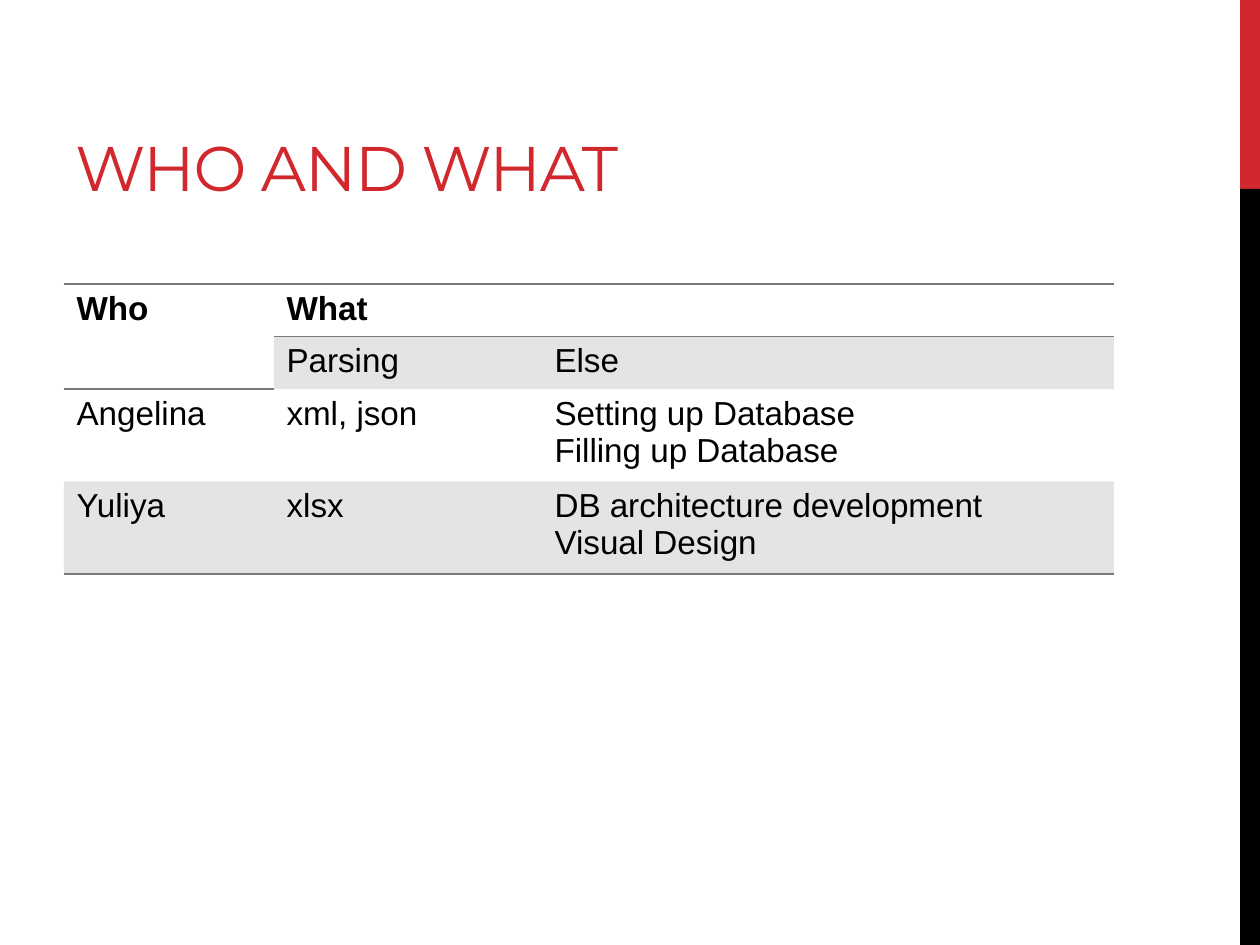
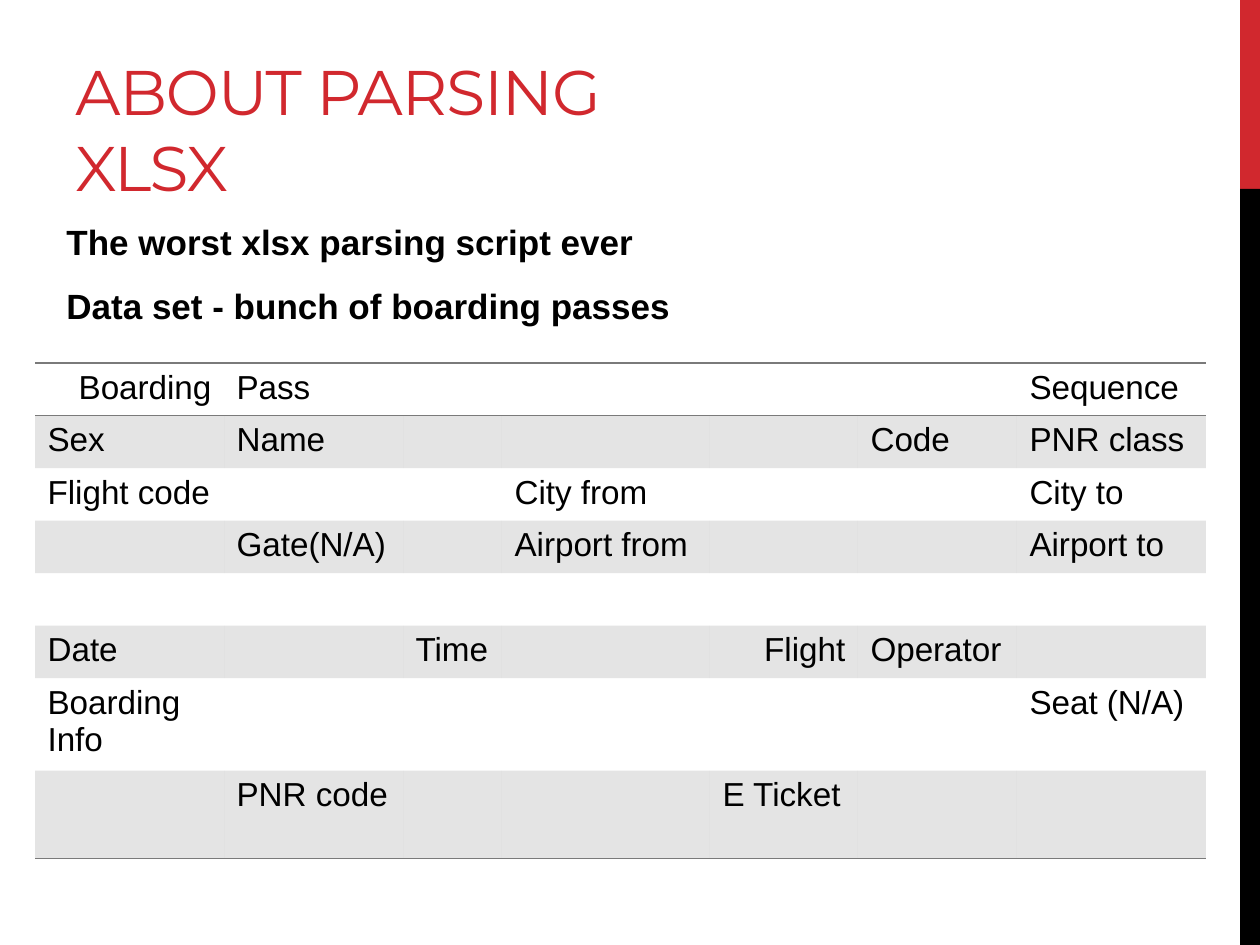
from dataclasses import dataclass

from lxml.etree import SubElement
from pptx import Presentation
from pptx.dml.color import RGBColor
from pptx.enum.shapes import MSO_SHAPE
from pptx.enum.text import MSO_ANCHOR, PP_ALIGN
from pptx.oxml import parse_xml
from pptx.oxml.ns import nsdecls, qn
from pptx.slide import Slide
from pptx.table import _Cell
from pptx.text.text import Font
from pptx.util import Emu, Pt

PX_PER_INCH = 126
COLORS = {"accent": "D1282E", "ink": "000000", "rule": "7A7A7A"}
TITLE_FONT = "Montserrat"
BODY_FONT = "Arial"
PLAIN_TABLE_STYLE = "{2D5ABB26-0587-4C30-8999-92F81FD0307C}"


@dataclass(frozen=True)
class Box:
    left: int
    top: int
    width: int
    height: int

    def emu(self) -> tuple[Emu, ...]:
        return tuple(px(n) for n in (self.left, self.top, self.width, self.height))


@dataclass(frozen=True)
class Band:
    box: Box
    color: str


@dataclass(frozen=True)
class Grid:
    left: int
    top: int
    columns: list[int]
    rows: list[int]
    texts: list[list[str]]
    bold_header: bool = False
    right_aligned: tuple[tuple[int, int], ...] = ()
    merges: tuple[tuple[int, int, int, int], ...] = ()

    def box(self) -> Box:
        return Box(self.left, self.top, sum(self.columns), sum(self.rows))


BANDS = [
    Band(Box(1240, 0, 20, 189), "accent"),
    Band(Box(1240, 189, 20, 756), "ink"),
]
TITLE_BOX = Box(63, 21, 798, 189)
SUMMARY_BOX = Box(54, 214, 1050, 179)
SUMMARY = ["The worst xlsx parsing script ever", "Data set - bunch of boarding passes"]

DUTIES = Grid(
    left=64,
    top=284,
    columns=[210, 268, 572],
    rows=[52, 52, 87, 91],
    texts=[
        ["Who", "What", ""],
        ["", "Parsing", "Else"],
        ["Angelina", "xml, json", "Setting up Database\nFilling up Database"],
        ["Yuliya", "xlsx", "DB architecture development\nVisual Design"],
    ],
    bold_header=True,
    merges=((0, 0, 1, 0), (0, 1, 0, 2)),
)
BOARDING_PASS = Grid(
    left=35,
    top=363,
    columns=[189, 179, 99, 208, 148, 159, 189],
    rows=[52] * 6 + [88] * 2,
    texts=[
        ["Boarding", "Pass", "", "", "", "", "Sequence"],
        ["Sex", "Name", "", "", "", "Code", "PNR class"],
        ["Flight code", "", "", "City from", "", "", "City to"],
        ["", "Gate(N/A)", "", "Airport from", "", "", "Airport to"],
        [""] * 7,
        ["Date", "", "Time", "", "Flight", "Operator", ""],
        ["Boarding Info", "", "", "", "", "", "Seat (N/A)"],
        ["", "PNR code", "", "", "E Ticket", "", ""],
    ],
    right_aligned=((0, 0), (5, 4)),
)


def px(length: int) -> Emu:
    return Emu(round(length * 914400 / PX_PER_INCH))


def rgb(name: str) -> RGBColor:
    return RGBColor.from_string(COLORS[name])


def style(font: Font, name: str, size: int, color: str, bold: bool = False) -> None:
    font.name = name
    font.size = Pt(size)
    font.bold = bold
    font.color.rgb = rgb(color)


def add_bands(slide: Slide) -> None:
    for band in BANDS:
        bar = slide.shapes.add_shape(MSO_SHAPE.RECTANGLE, *band.box.emu())
        bar.shadow.inherit = False
        bar.fill.solid()
        bar.fill.fore_color.rgb = rgb(band.color)
        bar.line.fill.background()


def add_title(slide: Slide, title: str) -> None:
    frame = slide.shapes.add_textbox(*TITLE_BOX.emu()).text_frame
    frame.word_wrap = True
    frame.vertical_anchor = MSO_ANCHOR.BOTTOM
    heading = frame.paragraphs[0]
    heading.text = title
    style(heading.font, TITLE_FONT, 36, "accent")
    for run in heading.runs:
        run.font._element.set("spc", "-60")


def add_summary(slide: Slide) -> None:
    frame = slide.shapes.add_textbox(*SUMMARY_BOX.emu()).text_frame
    frame.word_wrap = True
    frame.text = "\n".join(SUMMARY)
    for statement in frame.paragraphs:
        style(statement.font, BODY_FONT, 20, "ink", bold=True)
        statement.space_before = Pt(5)
        statement.space_after = Pt(8)


def shade(cell: _Cell) -> None:
    """Fill the cell with the rule colour at 20 % opacity."""
    cell.fill.solid()
    cell.fill.fore_color.rgb = rgb("rule")
    tint = cell._tc.tcPr.find(f".//{qn('a:srgbClr')}")
    SubElement(tint, qn("a:alpha")).set("val", "20000")


def rule(cell: _Cell, sides: str) -> None:
    """Draw 1 pt borders on the sides, given as letters in schema order (T, B)."""
    for index, side in enumerate(sides):
        border = parse_xml(
            f'<a:ln{side} {nsdecls("a")} w="12700"><a:solidFill>'
            f'<a:srgbClr val="{COLORS["rule"]}"/></a:solidFill></a:ln{side}>'
        )
        cell._tc.get_or_add_tcPr().insert(index, border)


def add_grid(slide: Slide, grid: Grid) -> None:
    frame = slide.shapes.add_table(len(grid.rows), len(grid.columns), *grid.box().emu())
    table = frame.table
    table.first_row = table.horz_banding = False
    table._tbl.tblPr.find(qn("a:tableStyleId")).text = PLAIN_TABLE_STYLE
    for column, width in zip(table.columns, grid.columns):
        column.width = px(width)
    for row, height in zip(table.rows, grid.rows):
        row.height = px(height)
    for top, left, bottom, right in grid.merges:
        table.cell(top, left).merge(table.cell(bottom, right))

    last = len(grid.rows) - 1
    for r, texts in enumerate(grid.texts):
        for c, text in enumerate(texts):
            cell = table.cell(r, c)
            cell.text = text
            for entry in cell.text_frame.paragraphs:
                style(entry.font, BODY_FONT, 19, "ink", grid.bold_header and r == 0)
                if (r, c) in grid.right_aligned:
                    entry.alignment = PP_ALIGN.RIGHT
            if r % 2 and not cell.is_spanned:
                shade(cell)
            else:
                cell.fill.background()
            if r == 0:
                rule(cell, "TB")
            elif r == last:
                rule(cell, "B")


def main() -> None:
    deck = Presentation()
    deck.slide_width, deck.slide_height = px(1260), px(945)
    blank = deck.slide_layouts[6]

    for title, grid in (("WHO AND WHAT", DUTIES), ("ABOUT PARSING\vXLSX", BOARDING_PASS)):
        slide = deck.slides.add_slide(blank)
        add_bands(slide)
        add_title(slide, title)
        if grid is BOARDING_PASS:
            add_summary(slide)
        add_grid(slide, grid)

    deck.save("out.pptx")


if __name__ == "__main__":
    main()
